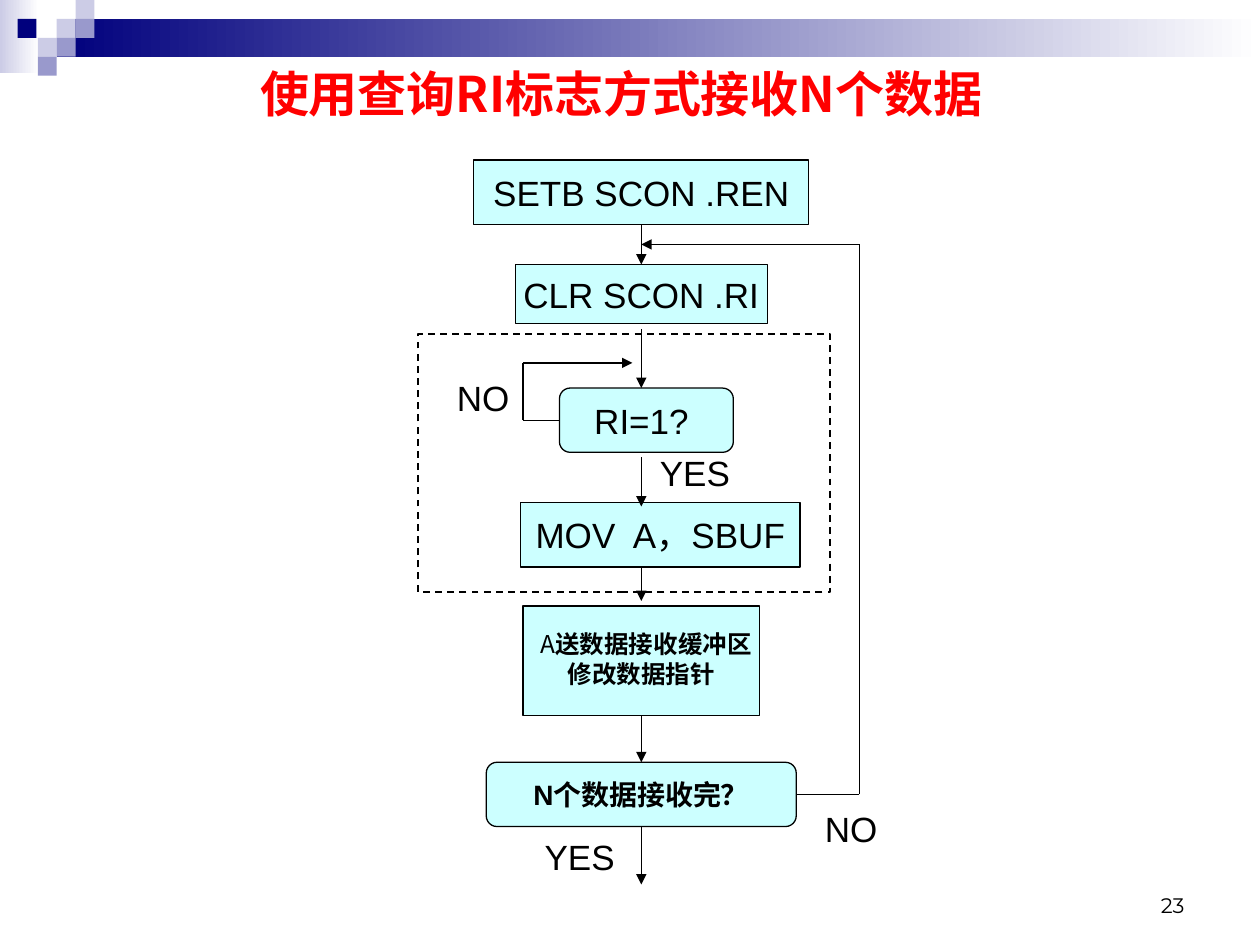
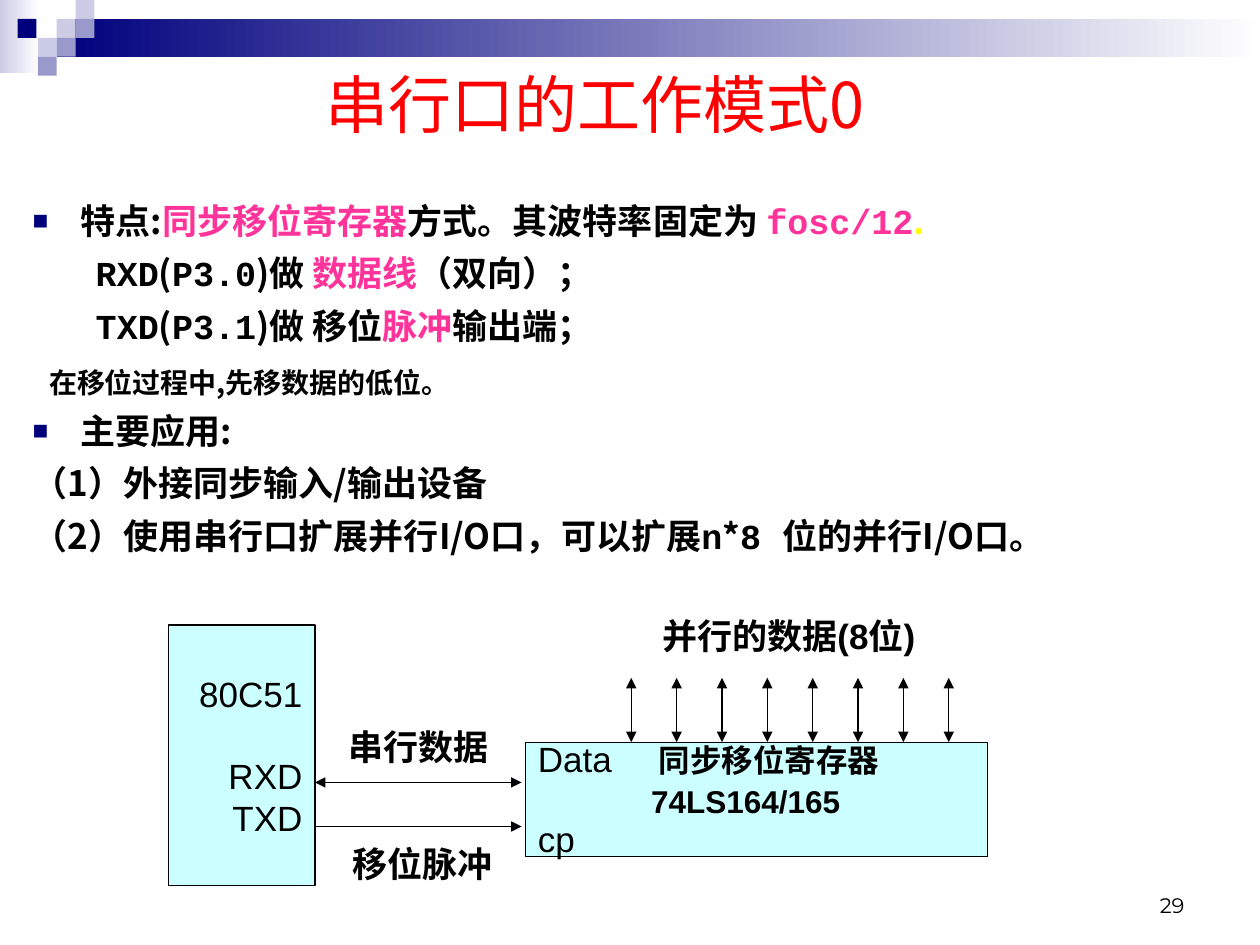
from lxml.etree import SubElement
from pptx import Presentation
from pptx.dml.color import RGBColor
from pptx.enum.dml import MSO_LINE
from pptx.enum.shapes import MSO_CONNECTOR, MSO_SHAPE
from pptx.enum.text import MSO_ANCHOR, MSO_AUTO_SIZE, PP_ALIGN
from pptx.oxml.ns import qn
from pptx.util import Inches, Pt

BLACK = RGBColor(0x00, 0x00, 0x00)
WHITE = RGBColor(0xFF, 0xFF, 0xFF)
RED = RGBColor(0xFF, 0x00, 0x00)
PINK = RGBColor(0xFF, 0x33, 0x99)
YELLOW = RGBColor(0xFF, 0xFF, 0x00)
NAVY = RGBColor(0x00, 0x00, 0x7D)
LILAC = RGBColor(0xCC, 0xCC, 0xE6)
VIOLET = RGBColor(0x99, 0x99, 0xCC)
CYAN = RGBColor(0xCC, 0xFF, 0xFF)
SANS, CJK, MONO, NUMBER = "Arial", "Noto Sans CJK SC", "Courier New", "Montserrat"
RECT, PROCESS, ALTERNATE = MSO_SHAPE.RECTANGLE, MSO_SHAPE.FLOWCHART_PROCESS, MSO_SHAPE.FLOWCHART_ALTERNATE_PROCESS
LEFT, CENTER, RIGHT = PP_ALIGN.LEFT, PP_ALIGN.CENTER, PP_ALIGN.RIGHT

prs = Presentation()
prs.slide_width, prs.slide_height = Inches(10), Inches(7.5)
COL, ROW = prs.slide_width / 100, prs.slide_height / 75


def grid(x, y, w, h):
    return int(x * COL), int(y * ROW), int(w * COL), int(h * ROW)


def write(tf, paragraphs, align, spacing=None):
    tf.auto_size = MSO_AUTO_SIZE.NONE
    tf.word_wrap = align != CENTER
    for i, runs in enumerate(paragraphs):
        p = tf.paragraphs[0] if i == 0 else tf.add_paragraph()
        p.alignment = align
        p.space_before = Pt(0)
        if spacing:
            p.line_spacing = Pt(spacing)
        for text, size, font, color, bold in runs:
            r = p.add_run()
            r.text = text
            r.font.size, r.font.bold = Pt(size), bold
            r.font.color.rgb = color
            r.font.name = font
            SubElement(r.font._element, qn("a:ea"), typeface=CJK)


titles = [
    (5, (4.3, 2.4, 90, 9.9), "使用查询RI标志方式接收N个数据", 28, True, CENTER, "23"),
    (1, (24.8, 4.8, 52.4, 6.8), "串行口的工作模式0", 36, False, LEFT, "29"),
]
bands = [((0, 0, 3.1, 5.8), LILAC), ((4.5, 1.5, 95.5, 3), NAVY)]
squares = [(3, 1, LILAC), (4, 0, LILAC), (4, 1, VIOLET), (2, 2, LILAC),
           (0.93, 1, NAVY), (3, 2, VIOLET), (2, 3, VIOLET)]

slides = []
for layout, place, title, size, bold, align, number in titles:
    s = prs.slides.add_slide(prs.slide_layouts[layout])
    slides.append(s)
    for spot, color in bands:
        sp = s.shapes.add_shape(RECT, *grid(*spot))
        sp.shadow.inherit = False
        sp.line.fill.background()
        sp.fill.gradient()
        sp.fill.gradient_angle = 0
        for stop, shade in zip(sp.fill.gradient_stops, (color, WHITE)):
            stop.color.rgb = shade
    for col, row, color in squares:
        sp = s.shapes.add_shape(RECT, *grid(col * 1.5, row * 1.5, 1.5, 1.5))
        sp.shadow.inherit = False
        sp.line.fill.background()
        sp.fill.solid()
        sp.fill.fore_color.rgb = color
    sp = s.shapes.title
    sp.left, sp.top, sp.width, sp.height = grid(*place)
    sp.text_frame.vertical_anchor = MSO_ANCHOR.MIDDLE
    write(sp.text_frame, [[(title, size, CJK, RED, bold)]], align)
    sp = s.shapes.add_textbox(*grid(71.7, 68.3, 23.3, 5))
    sp.text_frame.vertical_anchor = MSO_ANCHOR.BOTTOM
    write(sp.text_frame, [[(number, 12, NUMBER, BLACK, False)]], RIGHT)
flow, mode = slides

body = [
    (True, 0.38, [("特点:", CJK, BLACK), ("同步移位寄存器", CJK, PINK), ("方式。其波特率固定为 ", CJK, BLACK),
                  ("fosc/12", MONO, PINK), (".", CJK, YELLOW)]),
    (False, 0.5, [("RXD", MONO, BLACK), ("(", CJK, BLACK), ("P3.0", MONO, BLACK), (")做 ", CJK, BLACK),
                  ("数据线", CJK, PINK), ("（双向）；", CJK, BLACK)]),
    (False, 0.5, [("TXD", MONO, BLACK), ("(", CJK, BLACK), ("P3.1", MONO, BLACK), (")做 移位", CJK, BLACK),
                  ("脉冲", CJK, PINK), ("输出端；", CJK, BLACK)]),
    (False, 0.13, [("在移位过程中,先移数据的低位。", CJK, BLACK)]),
    (True, 0.38, [("主要应用:", CJK, BLACK)]),
    (False, 0, [("（1）外接同步输入/输出设备", CJK, BLACK)]),
    (False, 0, [("（2）使用串行口扩展并行I/O口，可以扩展", CJK, BLACK), ("n", MONO, BLACK), ("*", CJK, BLACK),
                ("8 ", MONO, BLACK), ("位的并行I/O口。", CJK, BLACK)]),
]
sp = mode.placeholders[1]
sp.left, sp.top, sp.width, sp.height = grid(1.6, 14.5, 89.4, 31.1)
write(sp.text_frame, [[(text, 16 if indent == 0.13 else 20, font, color, True) for text, font, color in runs]
                      for bullet, indent, runs in body], LEFT, 30)
for p, (bullet, indent, runs) in zip(sp.text_frame.paragraphs, body):
    pPr = p._p.get_or_add_pPr()
    pPr.set("marL", str(Inches(indent)))
    pPr.set("indent", str(-Inches(indent) if bullet else 0))
    if bullet:
        SubElement(SubElement(pPr, qn("a:buClr")), qn("a:srgbClr"), val=str(NAVY))
        SubElement(pPr, qn("a:buSzPct"), val="75000")
        SubElement(pPr, qn("a:buFont"), typeface=SANS)
        SubElement(pPr, qn("a:buChar"), char="■")
    else:
        SubElement(pPr, qn("a:buNone"))

AXIS = 50.9
boxes = [
    (flow, "start", PROCESS, (AXIS - 13.3, 12.7, 26.6, 5.1), [[("SETB SCON .REN", 20, SANS, BLACK, False)]], CENTER, None),
    (flow, "clear", PROCESS, (AXIS - 10, 21, 20, 4.7), [[("CLR SCON .RI", 20, SANS, BLACK, False)]], CENTER, None),
    (flow, "test", ALTERNATE, (44.4, 30.8, 13.8, 5.1), [[("RI=1? ", 20, SANS, BLACK, False)]], CENTER, None),
    (flow, "read", PROCESS, (41.3, 39.9, 22.2, 5.1), [[("MOV  A，SBUF", 20, SANS, BLACK, False)]], CENTER, None),
    (flow, "store", RECT, (AXIS - 9.4, 48.1, 18.8, 8.7),
     [[(" ", 20, SANS, BLACK, False), ("A", 14, CJK, BLACK, False), ("送数据接收缓冲区", 14, CJK, BLACK, True)],
      [("修改数据指针", 14, CJK, BLACK, True)]], CENTER, 16),
    (flow, "done", ALTERNATE, (AXIS - 12.3, 60.5, 24.6, 5.1), [[("N个数据接收完？", 16, SANS, BLACK, True)]], CENTER, None),
    (mode, "mcu", RECT, (13.4, 49.6, 11.6, 20.7),
     [[(text, 20, SANS, BLACK, False)] for text in ("80C51", "RXD", "TXD")], RIGHT, None),
    (mode, "register", RECT, (41.7, 58.9, 36.7, 9.1),
     [[("Data\t", 20, SANS, BLACK, False), ("同步移位寄存器", 18, SANS, BLACK, True)],
      [("74LS164/165", 18, SANS, BLACK, True)], [("cp", 20, SANS, BLACK, False)]], LEFT, 23),
]
shapes = {}
for s, name, kind, spot, paragraphs, align, spacing in boxes:
    sp = shapes[name] = s.shapes.add_shape(kind, *grid(*spot))
    sp.shadow.inherit = False
    sp.fill.solid()
    sp.fill.fore_color.rgb = CYAN
    sp.line.color.rgb = BLACK
    sp.line.width = Pt(0.75)
    sp.text_frame.vertical_anchor = MSO_ANCHOR.MIDDLE
    write(sp.text_frame, paragraphs, align, spacing)
shapes["mcu"].text_frame.paragraphs[1].space_before = Pt(23)
data, chip, clock = shapes["register"].text_frame.paragraphs
SubElement(SubElement(data._p.get_or_add_pPr(), qn("a:tabLst")), qn("a:tab"), pos=str(Inches(0.96)), algn="l")
chip._p.get_or_add_pPr().set("marL", str(Inches(0.9)))

labels = [
    (flow, (42.9, 66.2, 6.2, 3.5), "YES", False),
    (flow, (65.2, 64, 4.7, 3.5), "NO", False),
    (flow, (52.4, 36.3, 5.5, 2.4), "YES", False),
    (flow, (36, 30, 4.7, 3.1), "NO", False),
    (mode, (27.2, 66.4, 12.7, 4.3), "移位脉冲", True),
    (mode, (26.5, 57.3, 13.4, 3.9), "串行数据", True),
    (mode, (50.8, 48.1, 23.6, 4.7), "并行的数据(8位)", True),
]
for s, spot, text, bold in labels:
    sp = s.shapes.add_textbox(*grid(*spot))
    sp.text_frame.vertical_anchor = MSO_ANCHOR.MIDDLE
    write(sp.text_frame, [[(text, 20, SANS, BLACK, bold)]], CENTER)

sp = flow.shapes.add_shape(RECT, *grid(33.2, 26.5, 32.7, 20.5))
sp.shadow.inherit = False
sp.fill.background()
sp.line.color.rgb = BLACK
sp.line.width = Pt(1)
sp.line.dash_style = MSO_LINE.DASH

TAIL, BOTH = ["tailEnd"], ["headEnd", "tailEnd"]
lines = [
    (flow, (AXIS, 17.8, AXIS, 21), TAIL, ("start", 2), ("clear", 0)),
    (flow, (AXIS, 26.1, AXIS, 30.8), TAIL, None, None),
    (flow, (AXIS, 36.3, AXIS, 40.2), TAIL, None, None),
    (flow, (AXIS, 45, AXIS, 47.7), TAIL, None, None),
    (flow, (AXIS, 56.8, AXIS, 60.5), TAIL, ("store", 2), ("done", 0)),
    (flow, (AXIS, 65.6, AXIS, 70.2), TAIL, ("done", 2), None),
    (flow, (44.4, 33.35, 41.5, 33.35), [], ("test", 1), None),
    (flow, (41.5, 33.35, 41.5, 28.8), [], None, None),
    (flow, (41.5, 28.8, 50.2, 28.8), TAIL, None, None),
    (flow, (63.2, 63.05, 68.2, 63.05), [], ("done", 3), None),
    (flow, (68.2, 63.05, 68.2, 19.4), [], None, None),
    (flow, (68.2, 19.4, AXIS, 19.4), TAIL, None, None),
    (mode, (25, 62.1, 41.4, 62.1), BOTH, None, None),
    (mode, (25, 65.6, 41.4, 65.6), TAIL, None, None),
]
lines += [(mode, (50.1 + 3.6 * i, 58.9, 50.1 + 3.6 * i, 53.8), BOTH, None, None) for i in range(8)]
for s, ends, arrows, begin, end in lines:
    c = s.shapes.add_connector(MSO_CONNECTOR.STRAIGHT, *grid(*ends))
    if begin:
        c.begin_connect(shapes[begin[0]], begin[1])
    if end:
        c.end_connect(shapes[end[0]], end[1])
    c.line.color.rgb = BLACK
    c.line.width = Pt(0.75)
    for arrow in arrows:
        SubElement(c.line._get_or_add_ln(), qn("a:" + arrow), type="triangle")
    SubElement(c._element.spPr, qn("a:effectLst"))

prs.save("out.pptx")
